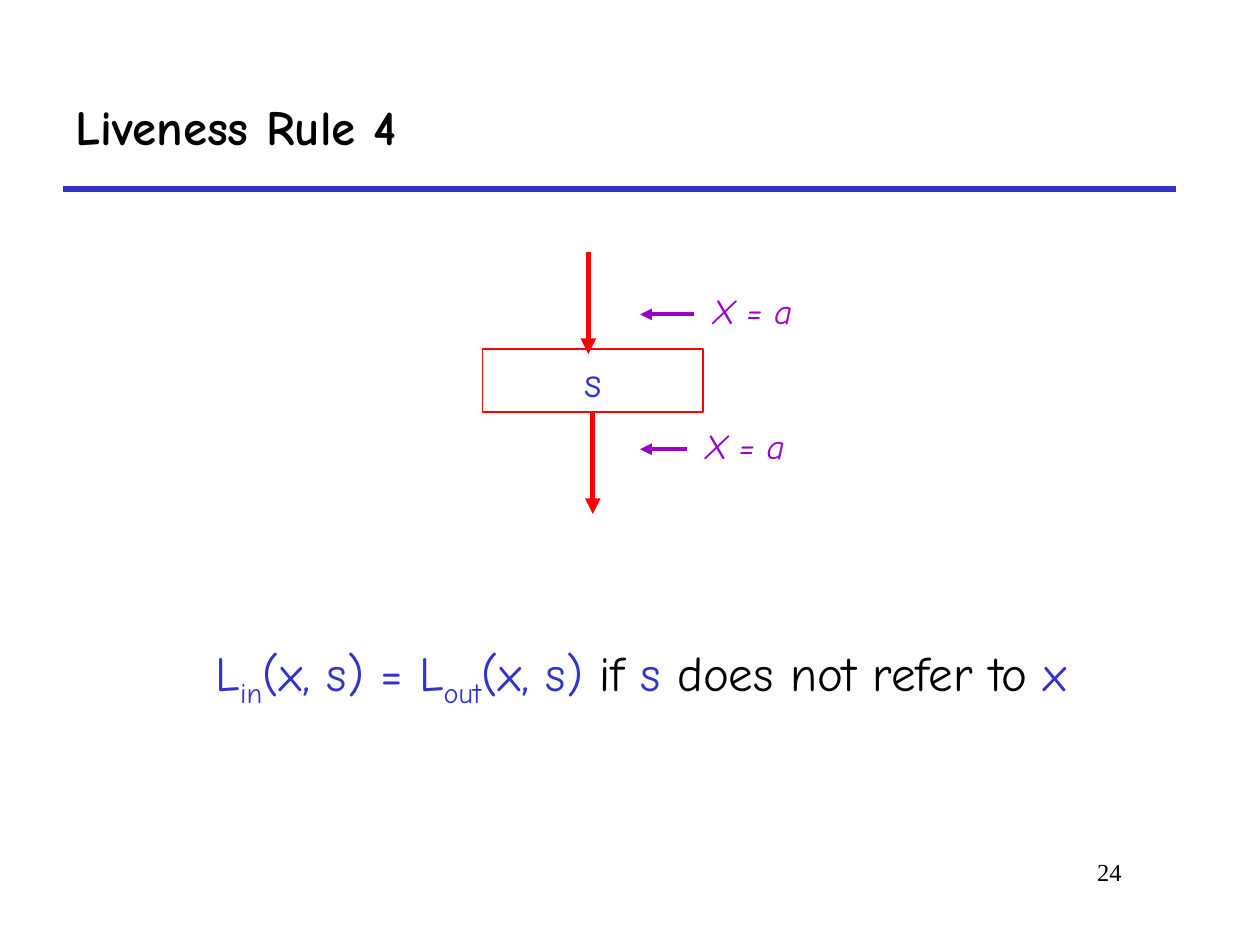
from lxml import etree
from pptx import Presentation
from pptx.dml.color import RGBColor
from pptx.enum.shapes import MSO_CONNECTOR, MSO_SHAPE
from pptx.enum.text import MSO_ANCHOR, MSO_AUTO_SIZE, PP_ALIGN
from pptx.oxml.ns import qn
from pptx.util import Inches, Pt

STRAIGHT = MSO_CONNECTOR.STRAIGHT
RECT = MSO_SHAPE.RECTANGLE
TOP, MIDDLE = MSO_ANCHOR.TOP, MSO_ANCHOR.MIDDLE
NO_FIT = MSO_AUTO_SIZE.NONE
LEFT, CENTER, RIGHT = PP_ALIGN.LEFT, PP_ALIGN.CENTER, PP_ALIGN.RIGHT
BOTTOM_SIDE = 2

COLORS = {"blue": "3333CC", "red": "FF0000", "purple": "9900CC", "black": "000000"}
FONT = "Comic Neue"


def rgb(name):
    """Return the palette colour with this name."""
    return RGBColor.from_string(COLORS[name])


def add_run(p, text, size=28, color="black", font=FONT, bold=False, italic=False, baseline=0):
    """Append a formatted run to a paragraph."""
    r = p.add_run()
    r.text = text
    r.font.size, r.font.name = Pt(size), font
    r.font.bold, r.font.italic = bold, italic
    r.font.color.rgb = rgb(color)
    if baseline:
        r.font._element.set("baseline", str(baseline * 1000))


def set_frame(sp, align=LEFT, anchor=TOP):
    """Prepare a shape's text frame and return its first paragraph."""
    tf = sp.text_frame
    tf.word_wrap, tf.auto_size, tf.vertical_anchor = True, NO_FIT, anchor
    p = tf.paragraphs[0]
    p.alignment = align
    return p


def place(sp, left, top, width, height):
    """Move and size a shape in inches."""
    sp.left, sp.top = Inches(left), Inches(top)
    sp.width, sp.height = Inches(width), Inches(height)


def add_text(s, box, text, align=LEFT, **fmt):
    """Add a text box holding one formatted run."""
    sp = s.shapes.add_textbox(*map(Inches, box))
    add_run(set_frame(sp, align), text, **fmt)


def add_line(s, start, end, color, width, arrow=True):
    """Add a straight line, with an arrowhead at its end if wanted."""
    line = s.shapes.add_connector(STRAIGHT, *map(Inches, (*start, *end)))
    line.line.color.rgb, line.line.width = rgb(color), Pt(width)
    if arrow:
        etree.SubElement(line.line._get_or_add_ln(), qn("a:tailEnd"), type="triangle")
    etree.SubElement(line._element.spPr, qn("a:effectLst"))
    return line


def add_title(s, left, top, width, height):
    """Fill the title placeholder and rule off its bottom edge."""
    sp = s.shapes.title
    place(sp, left, top, width, height)
    add_run(set_frame(sp, anchor=MIDDLE), "Liveness Rule 4", bold=True)
    bottom = top + height
    add_line(s, (left, bottom), (left + width, bottom), "blue", 3, arrow=False)


def add_rule(s, left, top, width, height):
    """Write the liveness equation in the body placeholder."""
    sp = s.placeholders[1]
    place(sp, left, top, width, height)
    p = set_frame(sp, CENTER)
    sp.text_frame.margin_left, sp.text_frame.margin_top = Inches(0.2), Inches(0.6)
    p.space_before = Pt(7)
    pPr = p._p.get_or_add_pPr()
    pPr.set("marL", "0")
    pPr.set("indent", "0")
    etree.SubElement(pPr, qn("a:buNone"))
    for text, color, baseline in (
        ("L", "blue", 0), ("in", "blue", -25), ("(x, s) = L", "blue", 0),
        ("out", "blue", -25), ("(x, s)", "blue", 0), (" if ", "black", 0),
        ("s", "blue", 0), (" does not refer to", "black", 0), (" x", "blue", 0),
    ):
        add_run(p, text, color=color, baseline=baseline)


def add_fact(s, left, top, width, height):
    """Add an 'X = a' label with an arrow pointing left to the flow."""
    y = top + 0.245
    add_text(s, (left, top, width, height), "X = a", size=20, color="purple", italic=True)
    add_line(s, (left - 0.05, y), (5.08, y), "purple", 2.25)


def add_flow(s, left, top, width, height):
    """Draw the statement box with its incoming and outgoing edges."""
    sp = s.shapes.add_shape(RECT, *map(Inches, (left, top, width, height)))
    sp.shadow.inherit = False
    sp.fill.background()
    sp.line.color.rgb, sp.line.width = rgb("red"), Pt(0.75)
    add_run(set_frame(sp, CENTER), "s", size=24, color="blue")
    middle, bottom = left + width / 2, top + height
    out_edge = add_line(s, (middle, bottom), (middle, 4.08), "red", 3)
    out_edge.begin_connect(sp, BOTTOM_SIDE)
    add_line(s, (4.67, 2), (4.67, 2.81), "red", 3)
    add_fact(s, 5.56, 2.25, 1.52, 0.44)
    add_fact(s, 5.5, 3.32, 1.33, 0.44)


def main():
    """Build the slide and save it."""
    prs = Presentation()
    prs.slide_width, prs.slide_height = Inches(10), Inches(7.5)
    s = prs.slides.add_slide(prs.slide_layouts[1])
    add_title(s, 0.5, 0.5, 8.83, 1)
    add_rule(s, 0.5, 4.5, 9.08, 2.08)
    add_flow(s, 3.83, 2.77, 1.75, 0.5)
    add_text(s, (6.92, 6.75, 2.08, 0.5), "24", RIGHT, size=14, font="Times New Roman")
    prs.save("out.pptx")


if __name__ == "__main__":
    main()
